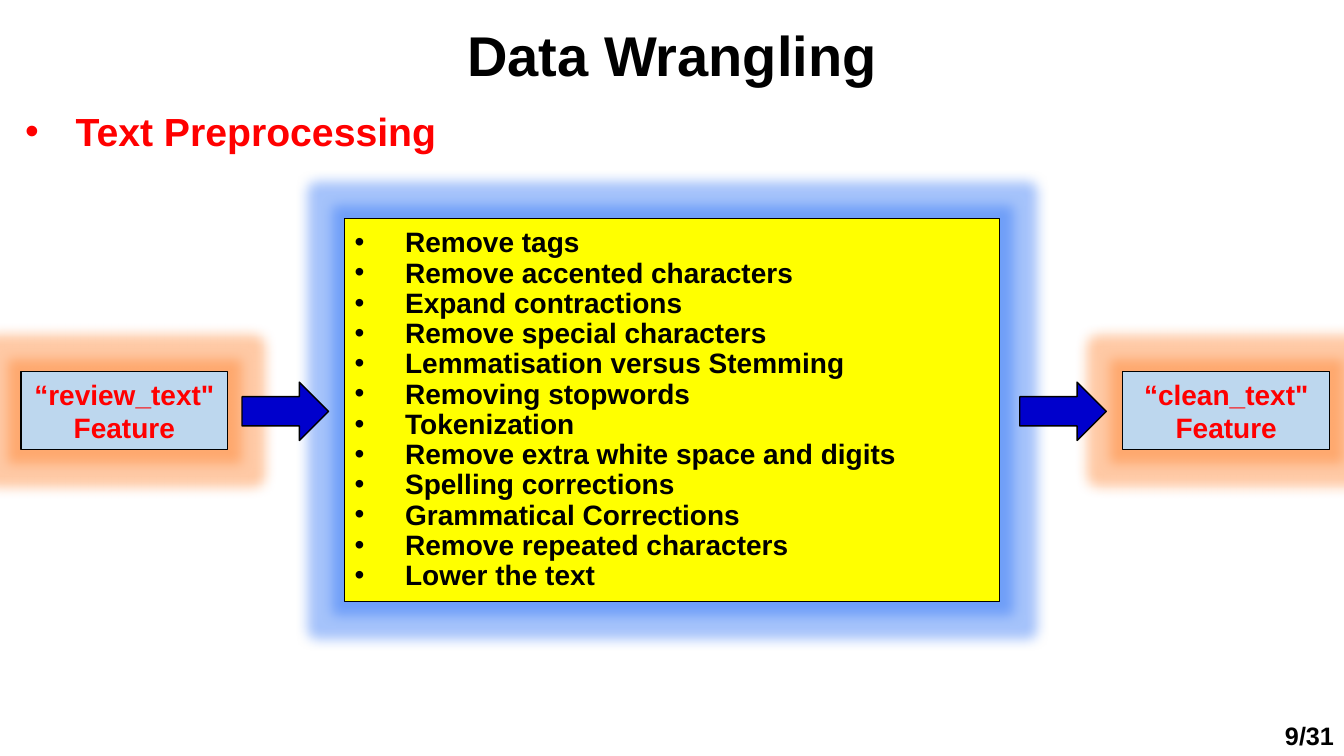
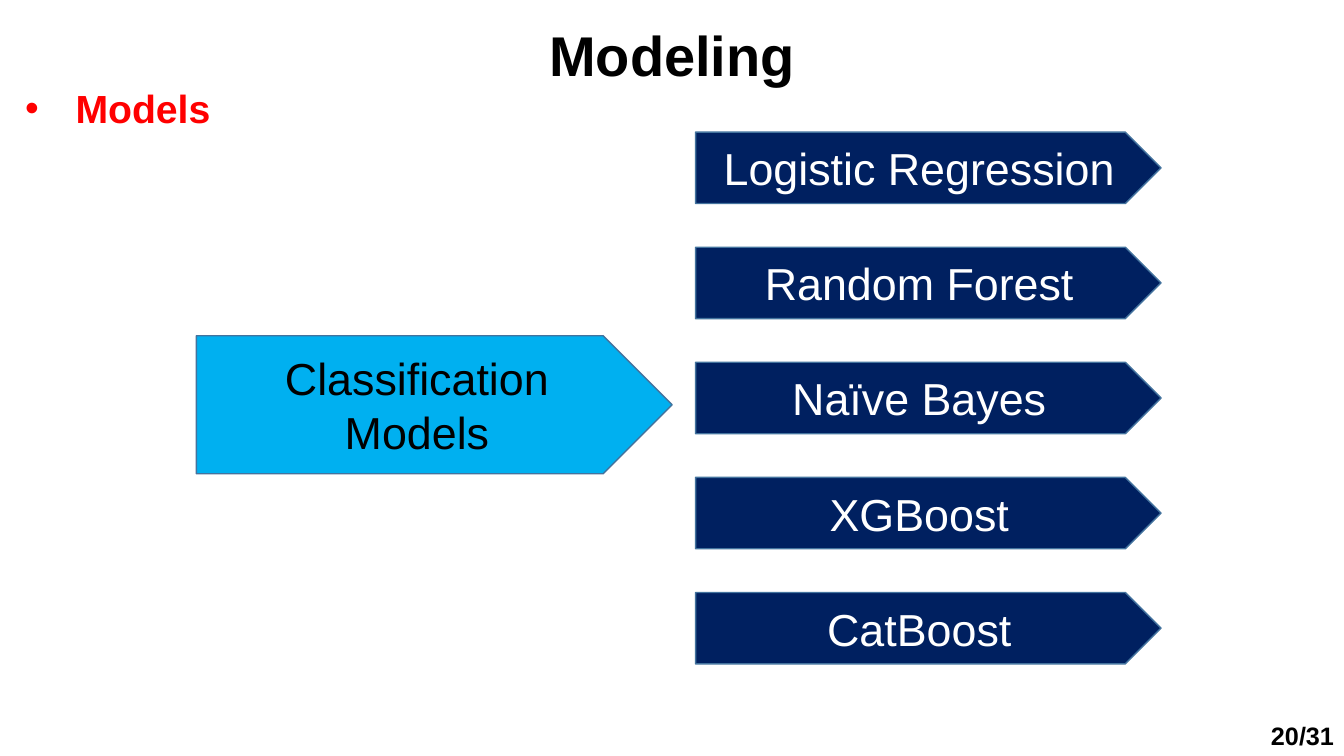
"""Build two slides: text preprocessing steps and classification models."""
from lxml.etree import SubElement
from pptx import Presentation
from pptx.dml.color import RGBColor
from pptx.enum.shapes import MSO_SHAPE
from pptx.enum.text import MSO_ANCHOR, MSO_AUTO_SIZE, PP_ALIGN
from pptx.oxml.ns import qn
from pptx.util import Cm, Pt

COLOURS = {
    "black": "000000", "white": "FFFFFF", "red": "FF0000", "yellow": "FFFF00",
    "pale blue": "BDD7EE", "arrow": "0000CC", "sky": "00B0F0", "navy": "002060",
    "outline": "43739E", "blue glow": "2069F5", "orange glow": "FF7A1F",
}
FORMATS = {
    "title": {"size": Pt(40), "bold": True},
    "heading": {"size": Pt(28), "bold": True},
    "step": {"size": Pt(20), "bold": True},
    "model": {"size": Pt(32), "bold": False},
    "footer": {"size": Pt(18), "bold": True},
}
SLIDE_WIDTH, SLIDE_HEIGHT = 33.87, 19.05
INDENT = Cm(1.27)
PAGE_COUNT = 31

STEPS = [
    "Remove tags", "Remove accented characters", "Expand contractions",
    "Remove special characters", "Lemmatisation versus Stemming",
    "Removing stopwords", "Tokenization", "Remove extra white space and digits",
    "Spelling corrections", "Grammatical Corrections",
    "Remove repeated characters", "Lower the text",
]
FEATURES = [(0.53, "“review_text\" Feature"), (28.3, "“clean_text\" Feature")]
ARROW_LEFTS = [6.1, 25.7]
MODEL_GROUP = ["Classification", "Models"]
MODELS = ["Logistic Regression", "Random Forest", "Naïve Bayes", "XGBoost", "CatBoost"]
MODEL_TOP, MODEL_PITCH = 3.33, 2.9


def colour(name):
    return RGBColor.from_string(COLOURS[name])


def place(shape, box):
    for name, value in zip(("left", "top", "width", "height"), box):
        setattr(shape, name, Cm(value))


def add_bullet(paragraph):
    properties = paragraph._p.get_or_add_pPr()
    properties.set("marL", str(INDENT))
    properties.set("indent", str(-INDENT))
    SubElement(properties, qn("a:buFont"), typeface="Arial")
    SubElement(properties, qn("a:buChar"), char="•")


def write(shape, lines, style, text_colour, align=PP_ALIGN.CENTER,
          anchor=MSO_ANCHOR.MIDDLE, spacing=1.0, bullets=False):
    frame = shape.text_frame
    frame.text = "\n".join(lines)
    frame_format = {"word_wrap": True, "auto_size": MSO_AUTO_SIZE.NONE,
                    "vertical_anchor": anchor}
    for name, value in frame_format.items():
        setattr(frame, name, value)
    paragraph_format = {"alignment": align, "line_spacing": spacing,
                        "space_before": Pt(0), "space_after": Pt(0)}
    for paragraph in frame.paragraphs:
        for name, value in paragraph_format.items():
            setattr(paragraph, name, value)
        if bullets:
            add_bullet(paragraph)
        for run in paragraph.runs:
            for name, value in {"name": "Arial", **FORMATS[style]}.items():
                setattr(run.font, name, value)
            run.font.color.rgb = colour(text_colour)


def add_block(slide, kind, box, fill, line="black", line_width=1):
    shape = slide.shapes.add_shape(kind, *map(Cm, box))
    shape.shadow.inherit = False
    shape.fill.solid()
    shape.fill.fore_color.rgb = colour(fill)
    shape.line.color.rgb = colour(line)
    shape.line.width = Pt(line_width)
    return shape


def add_glow(shape, name):
    effects = shape._element.spPr.find(qn("a:effectLst"))
    glow = SubElement(effects, qn("a:glow"), rad=str(Pt(18)))
    tint = SubElement(glow, qn("a:srgbClr"), val=COLOURS[name])
    SubElement(tint, qn("a:alpha"), val="40000")


def add_base_slide(presentation, title, heading, heading_top, page):
    slide = presentation.slides.add_slide(presentation.slide_layouts[1])
    title_shape, body = slide.placeholders
    place(title_shape, (0, 0.38, SLIDE_WIDTH, 1.96))
    write(title_shape, [title], "title", "black")
    place(body, (0.38, heading_top, 31.7, 1.45))
    write(body, [heading], "heading", "red", PP_ALIGN.LEFT, MSO_ANCHOR.TOP, bullets=True)
    footer = slide.shapes.add_textbox(*map(Cm, (26.25, 18.03, 7.62, 1.02)))
    write(footer, [f"{page}/{PAGE_COUNT}"], "footer", "black", PP_ALIGN.RIGHT)
    return slide


def add_wrangling_slide(presentation):
    slide = add_base_slide(presentation, "Data Wrangling", "Text Preprocessing", 2.57, 9)
    steps = add_block(slide, MSO_SHAPE.RECTANGLE, (8.69, 5.51, 16.51, 9.65),
                      "yellow", line_width=0.75)
    add_glow(steps, "blue glow")
    write(steps, STEPS, "step", "black", PP_ALIGN.LEFT, spacing=0.9, bullets=True)
    for left, text in FEATURES:
        feature = add_block(slide, MSO_SHAPE.RECTANGLE, (left, 9.37, 5.21, 1.96),
                            "pale blue", line_width=0.75)
        add_glow(feature, "orange glow")
        write(feature, [text], "step", "red")
    for left in ARROW_LEFTS:
        add_block(slide, MSO_SHAPE.RIGHT_ARROW, (left, 9.63, 2.18, 1.47), "arrow")


def add_modeling_slide(presentation):
    slide = add_base_slide(presentation, "Modeling", "Models", 2, 20)
    group = add_block(slide, MSO_SHAPE.PENTAGON, (4.95, 8.46, 11.99, 3.48), "sky", "outline")
    write(group, MODEL_GROUP, "model", "black")
    for row, name in enumerate(MODELS):
        box = (17.53, MODEL_TOP + row * MODEL_PITCH, 11.73, 1.8)
        model = add_block(slide, MSO_SHAPE.PENTAGON, box, "navy", "outline")
        write(model, [name], "model", "white")


def main():
    presentation = Presentation()
    presentation.slide_width = Cm(SLIDE_WIDTH)
    presentation.slide_height = Cm(SLIDE_HEIGHT)
    add_wrangling_slide(presentation)
    add_modeling_slide(presentation)
    presentation.save("out.pptx")


if __name__ == "__main__":
    main()
